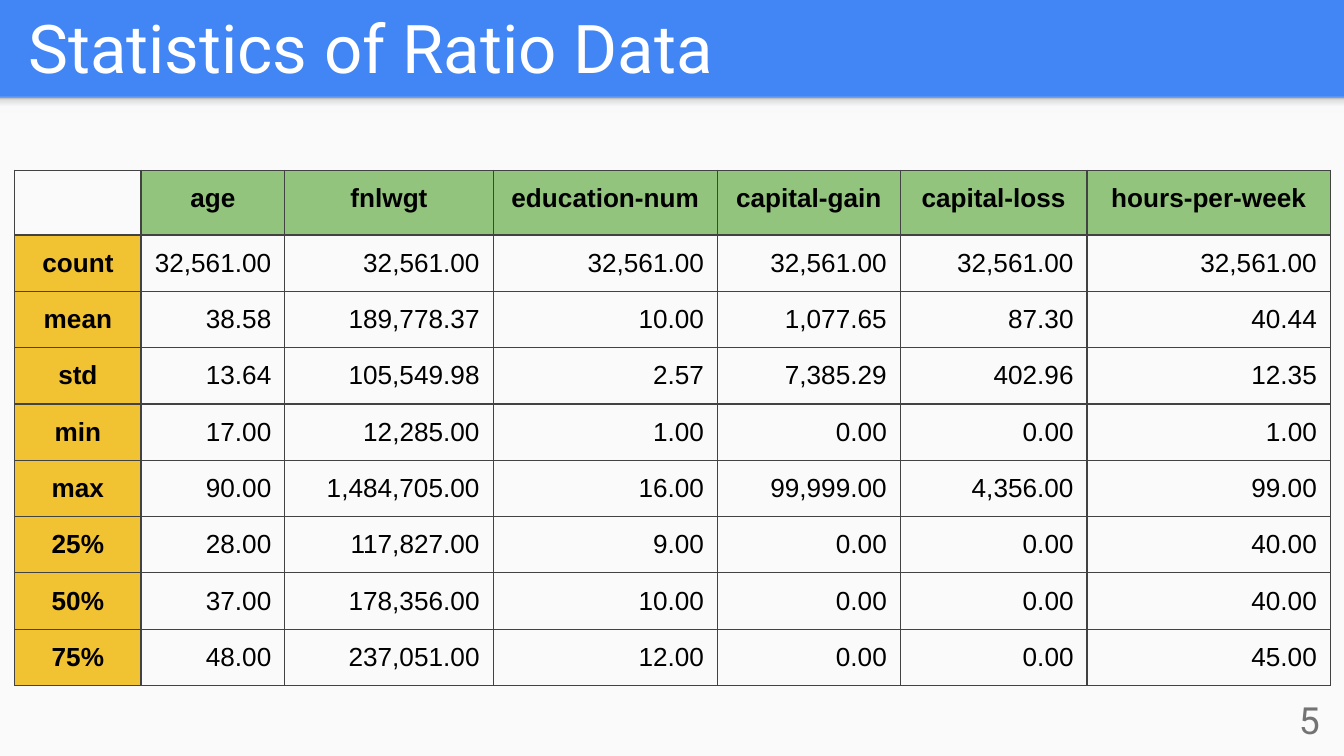
"""Build a slide with a table of summary statistics."""
from typing import NamedTuple

from pptx import Presentation, oxml, util as u
from pptx.dml import color
from pptx.enum import shapes, text
from pptx.oxml import ns

HUES = {
    "blue": "4285F4", "page": "FAFAFA", "white": "FFFFFF", "grey": "737373",
    "black": "000000", "line": "424242", "green": "93C47D", "gold": "F1C232",
}
SHADE = {0: "F9F9F9", 36: "F9F9F9", 80: "DEDEDE", 100: "999999"}
WIDE, HIGH = u.Inches(10), u.Inches(5.625)
PAD = u.Inches(0.1)
ALIGN, MID = text.PP_ALIGN, text.MSO_ANCHOR.MIDDLE
MARGINS = ("margin_left", "margin_top", "margin_right", "margin_bottom")
INSETS = dict.fromkeys(MARGINS, PAD)
FRAME = {**INSETS, "vertical_anchor": MID, "word_wrap": True,
         "auto_size": text.MSO_AUTO_SIZE.NONE}
COLS = (9.4, 10.7, 15.5, 16.7, 13.6, 13.9, 18.1)
HEAD_ROW, BODY_ROW = 8.6, 7.42
ROWS = (
    ("", "age", "fnlwgt", "education-num", "capital-gain", "capital-loss", "hours-per-week"),
    ("count",) + ("32,561.00",) * 6,
    ("mean", "38.58", "189,778.37", "10.00", "1,077.65", "87.30", "40.44"),
    ("std", "13.64", "105,549.98", "2.57", "7,385.29", "402.96", "12.35"),
    ("min", "17.00", "12,285.00", "1.00", "0.00", "0.00", "1.00"),
    ("max", "90.00", "1,484,705.00", "16.00", "99,999.00", "4,356.00", "99.00"),
    ("25%", "28.00", "117,827.00", "9.00", "0.00", "0.00", "40.00"),
    ("50%", "37.00", "178,356.00", "10.00", "0.00", "0.00", "40.00"),
    ("75%", "48.00", "237,051.00", "12.00", "0.00", "0.00", "45.00"),
)


class Box(NamedTuple):
    """Place and size in percent of the slide."""
    left: float
    top: float
    width: float
    height: float

    def spots(self) -> tuple:
        """Return the four lengths in slide units."""
        return (across(self.left), down(self.top),
                across(self.width), down(self.height))


class Style(NamedTuple):
    """Look of one line of text."""
    size: float
    font: str
    hue: str
    align: ALIGN
    bold: bool = False


TITLE = Style(36, "Roboto", "white", ALIGN.LEFT)
NUMBER = Style(20, "Roboto", "grey", ALIGN.RIGHT)
LABEL = Style(14, "Arial", "black", ALIGN.CENTER, True)
VALUE = Style(14, "Arial", "black", ALIGN.RIGHT)


def across(share: float) -> int:
    """Turn percent of the slide's width into a length."""
    return u.Emu(round(WIDE * share / 100))


def down(share: float) -> int:
    """Turn percent of the slide's height into a length."""
    return u.Emu(round(HIGH * share / 100))


def apply(thing, values: dict) -> None:
    """Set each attribute of a thing from a dict."""
    for name, value in values.items():
        setattr(thing, name, value)


def paint(fill, hue: str) -> None:
    """Give a fill one plain colour."""
    fill.solid()
    fill.fore_color.rgb = color.RGBColor.from_string(HUES[hue])


def write(frame, words: str, style: Style) -> None:
    """Put one styled line into a text frame."""
    line = frame.paragraphs[0]
    line.alignment = style.align
    run = line.add_run()
    run.text = words
    apply(run.font, {"size": u.Pt(style.size), "name": style.font, "bold": style.bold})
    run.font.color.rgb = color.RGBColor.from_string(HUES[style.hue])


def place(shape, box: Box, words: str, style: Style) -> None:
    """Move a text shape to its box and fill in its words."""
    apply(shape, dict(zip(("left", "top", "width", "height"), box.spots())))
    apply(shape.text_frame, FRAME)
    write(shape.text_frame, words, style)


def panel(slide, box: Box):
    """Add a rectangle without line or shadow."""
    shape = slide.shapes.add_shape(shapes.MSO_SHAPE.RECTANGLE, *box.spots())
    shape.shadow.inherit = False
    shape.line.fill.background()
    return shape


def shade(fill) -> None:
    """Fade a fill upward through the shade stops."""
    fill.gradient()
    fill.gradient_angle = 90
    stops = "".join(f'<a:gs pos="{pos * 1000}"><a:srgbClr val="{hue}"/></a:gs>'
                    for pos, hue in SHADE.items())
    old = fill._xPr.find(".//" + ns.qn("a:gsLst"))
    new = oxml.parse_xml(f'<a:gsLst {ns.nsdecls("a")}>{stops}</a:gsLst>')
    old.getparent().replace(old, new)


def edge(cell) -> None:
    """Draw thin lines on all sides of a cell."""
    props = cell._tc.get_or_add_tcPr()
    for spot, side in enumerate("LRTB"):
        props.insert(spot, oxml.parse_xml(
            f'<a:ln{side} {ns.nsdecls("a")} w="{u.Pt(0.75)}"><a:solidFill>'
            f'<a:srgbClr val="{HUES["line"]}"/></a:solidFill></a:ln{side}>'))


def fill_cell(cell, words: str, row: int, col: int) -> None:
    """Format one table cell by its row and column."""
    apply(cell, INSETS if words else dict.fromkeys(MARGINS, 0))
    if row:
        cell.vertical_anchor = MID
    if words:
        write(cell.text_frame, words, VALUE if row and col else LABEL)
    if not words or row and col:
        cell.fill.background()
    else:
        paint(cell.fill, "gold" if row else "green")
    edge(cell)


def add_stats(slide, left: float, top: float) -> None:
    """Add the table of statistics."""
    highs = [HEAD_ROW] + [BODY_ROW] * (len(ROWS) - 1)
    box = Box(left, top, sum(COLS), sum(highs))
    table = slide.shapes.add_table(len(ROWS), len(COLS), *box.spots()).table
    apply(table, {"first_row": False, "horz_banding": False})
    for col, share in zip(table.columns, COLS):
        col.width = across(share)
    for row, share in zip(table.rows, highs):
        row.height = down(share)
    for row, line in enumerate(ROWS):
        for col, words in enumerate(line):
            fill_cell(table.cell(row, col), words, row, col)


def main() -> None:
    """Build and save the slide."""
    deck = Presentation()
    apply(deck, {"slide_width": WIDE, "slide_height": HIGH})
    slide = deck.slides.add_slide(deck.slide_layouts[5])
    paint(slide.background.fill, "blue")
    paint(panel(slide, Box(0, 12.8, 100, 87.2)).fill, "page")
    shade(panel(slide, Box(0, 12.8, 100, 2.13)).fill)
    title = slide.shapes.title
    place(title, Box(1.1, 0.36, 96.5, 11.73), "Statistics of Ratio Data", TITLE)
    slot = Box(93.2, 91.38, 6, 7.64)
    place(slide.shapes.add_textbox(*slot.spots()), slot, "5", NUMBER)
    add_stats(slide, 1.1, 22.5)
    deck.save("out.pptx")


if __name__ == "__main__":
    main()
